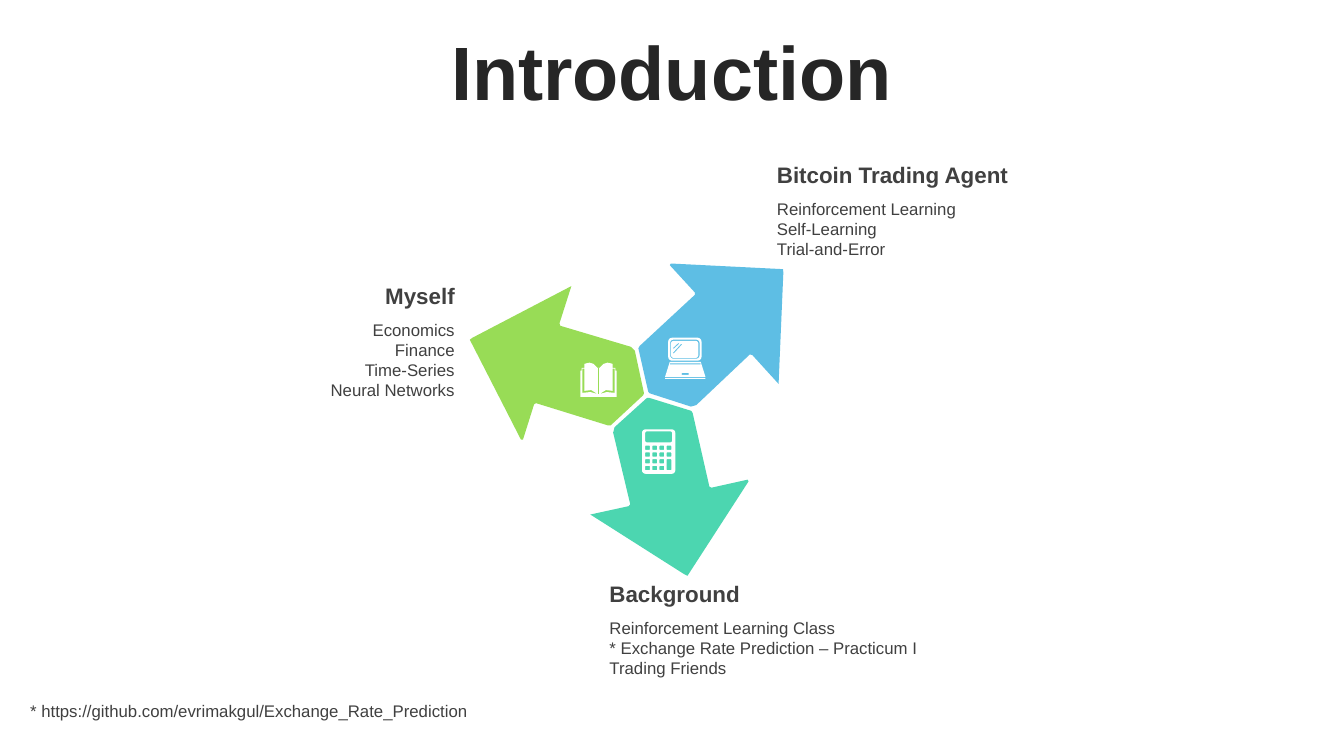
from math import cos, pi, radians, sin

from lxml.etree import SubElement
from pptx import Presentation
from pptx.dml.color import RGBColor
from pptx.enum.text import MSO_ANCHOR, MSO_AUTO_SIZE, PP_ALIGN
from pptx.oxml.ns import qn
from pptx.util import Cm, Pt

FONT = "Arial"
WHITE = RGBColor(0xFF, 0xFF, 0xFF)
TITLE_COLOR = RGBColor(0x26, 0x26, 0x26)
TEXT_COLOR = RGBColor(0x40, 0x40, 0x40)
GREEN = RGBColor(0x98, 0xDC, 0x56)
BLUE = RGBColor(0x5E, 0xBE, 0xE4)
TEAL = RGBColor(0x4C, 0xD6, 0xB0)

ARROW_OUTLINE = [
    (-1.9, -2.74), (-2.2, -1.8), (-2.18, -1.74), (-0.4, -1.21), (-0.3, -1.11),
    (-0.07, -0.04), (-0.09, 0.01), (-0.91, 0.77), (-0.98, 0.77), (-2.79, 0.21),
    (-2.84, 0.24), (-3.12, 1.13), (-3.17, 1.13), (-4.46, -1.39), (-4.39, -1.44),
]
BOOK_WIDTH = 0.91
BOOK_COVER = [
    (0, 0.86), (0, 0.2), (0.03, 0.2), (0.03, 0.13), (0.1, 0.13),
    (0.1, 0.03), (0.17, 0.01), (0.23, 0), (0.33, 0.03), (0.43, 0.13),
]
BOOK_PAGE_EDGE = [
    (0.05, 0.15), (0.1, 0.15), (0.1, 0.71), (0.27, 0.69),
    (0.43, 0.79), (0.25, 0.74), (0.05, 0.76),
]


def add_text(slide, left, top, width, height, lines, size, color=TEXT_COLOR,
             bold=False, alignment=PP_ALIGN.LEFT, anchor=MSO_ANCHOR.TOP):
    """Add a text box with one paragraph per line."""
    box = slide.shapes.add_textbox(Cm(left), Cm(top), Cm(width), Cm(height))
    frame = box.text_frame
    frame.word_wrap = True
    frame.auto_size = MSO_AUTO_SIZE.SHAPE_TO_FIT_TEXT
    frame.vertical_anchor = anchor
    for index, line in enumerate(lines):
        paragraph = frame.add_paragraph() if index else frame.paragraphs[0]
        paragraph.alignment = alignment
        run = paragraph.add_run()
        run.text = line
        run.font.name = FONT
        run.font.size = Pt(size)
        run.font.bold = bold
        run.font.color.rgb = color


def add_topic(slide, left, top, width, heading, lines, alignment=PP_ALIGN.LEFT):
    """Add a bold heading with its lines below it."""
    add_text(slide, left, top, width, 0.94, [heading], 16, bold=True, alignment=alignment)
    height = 0.26 + 0.51 * len(lines)
    add_text(slide, left, top + 0.94, width, height, lines, 12, alignment=alignment)


def add_outline(slide, left, top, contours, color):
    """Draw closed contours as one filled shape; inner contours become holes."""
    placed = [[(Cm(left + x), Cm(top + y)) for x, y in contour] for contour in contours]
    builder = slide.shapes.build_freeform(*placed[0][0])
    builder.add_line_segments(placed[0][1:])
    for contour in placed[1:]:
        builder.move_to(*contour[0])
        builder.add_line_segments(contour[1:])
    shape = builder.convert_to_shape()
    shape.shadow.inherit = False
    shape.fill.solid()
    shape.fill.fore_color.rgb = color
    shape.line.fill.background()


def rounded(left, top, width, height, radius):
    """Return the points of a rectangle with rounded corners."""
    right, bottom = left + width - radius, top + height - radius
    centers = [(right, bottom), (left + radius, bottom),
               (left + radius, top + radius), (right, top + radius)]
    return [
        (x + radius * cos(angle), y + radius * sin(angle))
        for corner, (x, y) in enumerate(centers)
        for angle in (corner * pi / 2 + step * pi / 8 for step in range(5))
    ]


def mirrored(points, width):
    """Reflect points across the middle of a width, in reverse order."""
    return [(width - x, y) for x, y in reversed(points)]


def add_arrow_wheel(slide, left, top):
    """Draw three arrows turned by thirds of a circle around a hub."""
    for index, color in enumerate((GREEN, BLUE, TEAL)):
        angle = radians(120 * index)
        arrow = [(x * cos(angle) - y * sin(angle), x * sin(angle) + y * cos(angle))
                 for x, y in ARROW_OUTLINE]
        add_outline(slide, left, top, [arrow], color)


def add_calculator(slide, left, top):
    """Draw the calculator icon."""
    keys = [
        rounded(0.08 + 0.18 * column, 0.41 + 0.17 * row, 0.12, 0.11, 0.02)
        for row in range(4) for column in range(4)
        if column < 3 or row < 2
    ]
    contours = [rounded(0, 0, 0.84, 1.12, 0.09), rounded(0.08, 0.05, 0.68, 0.28, 0.05),
                *keys, rounded(0.62, 0.75, 0.12, 0.28, 0.02)]
    add_outline(slide, left, top, contours, WHITE)


def add_book(slide, left, top):
    """Draw the open book icon."""
    cover = BOOK_COVER + mirrored(BOOK_COVER, BOOK_WIDTH)
    spine = [(0.44, 0.13), (0.47, 0.13), (0.47, 0.79), (0.44, 0.79)]
    contours = [cover, BOOK_PAGE_EDGE, mirrored(BOOK_PAGE_EDGE, BOOK_WIDTH), spine]
    add_outline(slide, left, top, contours, WHITE)


def add_laptop(slide, left, top):
    """Draw the laptop icon."""
    lid = rounded(0.08, 0, 0.84, 0.58, 0.1)
    frame = rounded(0.13, 0.05, 0.74, 0.48, 0.08)
    screen = rounded(0.15, 0.08, 0.69, 0.43, 0.07)
    long_glare = [(0.2, 0.38), (0.41, 0.15), (0.43, 0.17), (0.22, 0.4)]
    short_glare = [(0.2, 0.26), (0.34, 0.13), (0.36, 0.15), (0.22, 0.28)]
    keyboard = [(0.12, 0.61), (0.9, 0.61), (1.02, 0.99), (0, 0.99)]
    hinge = [(0.12, 0.65), (0.9, 0.65), (0.9, 0.67), (0.12, 0.67)]
    touchpad = rounded(0.42, 0.89, 0.18, 0.05, 0.02)
    foot = [(0, 1.01), (1.02, 1.01), (1.02, 1.04), (0, 1.04)]
    contours = [lid, frame, screen, long_glare, short_glare, keyboard, hinge, touchpad, foot]
    add_outline(slide, left, top, contours, WHITE)


def add_introduction(presentation):
    """Add the introduction slide."""
    slide = presentation.slides.add_slide(presentation.slide_layouts[6])
    add_text(slide, 10.64, 0.51, 12.57, 2.54, ["Introduction"], 54, TITLE_COLOR,
             True, PP_ALIGN.CENTER, MSO_ANCHOR.MIDDLE)
    add_arrow_wheel(slide, 16.3, 9.95)
    add_topic(slide, 15.11, 14.5, 14.12, "Background", [
        "Reinforcement Learning Class",
        "* Exchange Rate Prediction – Practicum I",
        "Trading Friends",
    ])
    add_topic(slide, 1.68, 6.99, 10.03, "Myself", [
        "Economics", "Finance", "Time-Series", "Neural Networks",
    ], PP_ALIGN.RIGHT)
    add_topic(slide, 19.33, 3.94, 13.13, "Bitcoin Trading Agent", [
        "Reinforcement Learning", "Self-Learning", "Trial-and-Error",
    ])
    add_calculator(slide, 16.18, 10.82)
    add_book(slide, 14.63, 9.14)
    add_laptop(slide, 16.76, 8.51)
    add_text(slide, 0.51, 17.53, 11.68, 1.27,
             ["* https://github.com/evrimakgul/Exchange_Rate_Prediction"], 12)


def main():
    """Build and save the presentation."""
    presentation = Presentation()
    presentation.slide_width = Cm(33.87)
    presentation.slide_height = Cm(19.05)
    add_introduction(presentation)
    presentation.save("out.pptx")


if __name__ == "__main__":
    main()
